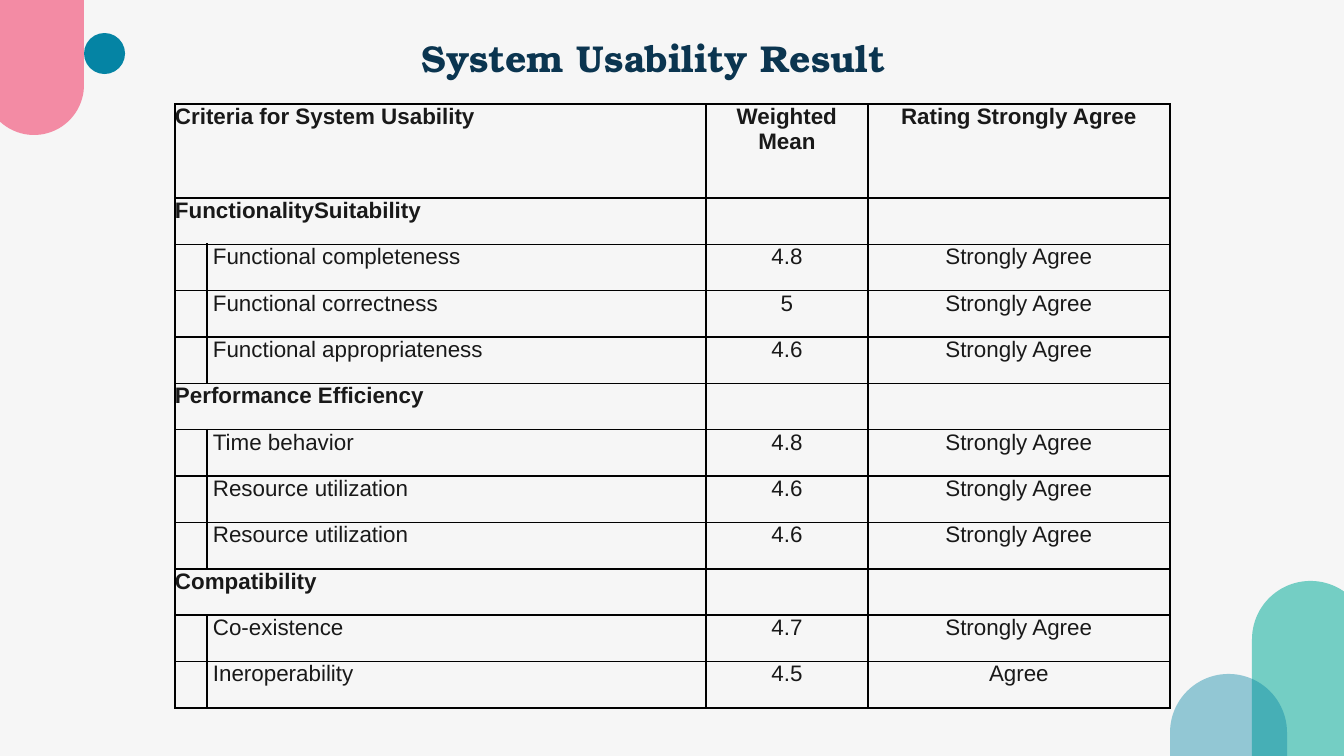
from lxml import etree
from pptx import Presentation
from pptx.dml.color import RGBColor
from pptx.enum.shapes import MSO_SHAPE
from pptx.enum.text import MSO_ANCHOR, PP_ALIGN
from pptx.oxml import parse_xml
from pptx.oxml.ns import nsdecls, qn
from pptx.util import Emu, Pt

PILL, CIRCLE = MSO_SHAPE.ROUNDED_RECTANGLE, MSO_SHAPE.OVAL
LEFT, CENTER = PP_ALIGN.LEFT, PP_ALIGN.CENTER
TOP = MSO_ANCHOR.TOP

PAPER = RGBColor(0xF6, 0xF6, 0xF6)
MINT = RGBColor(0x74, 0xCE, 0xC4)
TEAL = RGBColor(0x05, 0x84, 0xA4)
PINK = RGBColor(0xF2, 0x55, 0x7A)
NAVY = RGBColor(0x0B, 0x35, 0x50)
INK = RGBColor(0x19, 0x19, 0x19)
BLACK = RGBColor(0, 0, 0)

SLIDE_WIDTH, SLIDE_HEIGHT = 1344, 756
EMU_PER_PX = 9144000 / SLIDE_WIDTH

COLUMN_WIDTHS = (32, 499, 162, 302)
HEADER_HEIGHT = 94
ITEM_INDENT = 6
HEADINGS = ("Criteria for System Usability", "Weighted Mean", "Rating Strongly Agree")
CRITERIA = (
    ("FunctionalitySuitability", (
        ("Functional completeness", "4.8", "Strongly Agree"),
        ("Functional correctness", "5", "Strongly Agree"),
        ("Functional appropriateness", "4.6", "Strongly Agree"))),
    ("Performance Efficiency", (
        ("Time behavior", "4.8", "Strongly Agree"),
        ("Resource utilization", "4.6", "Strongly Agree"),
        ("Resource utilization", "4.6", "Strongly Agree"))),
    ("Compatibility", (
        ("Co-existence", "4.7", "Strongly Agree"),
        ("Ineroperability", "4.5", "Agree"))),
)


def px(length):
    """Turn px into EMU."""
    return Emu(round(length * EMU_PER_PX))


def add_text(paragraph, text, font_name, size, color, bold):
    """Add one styled run to a paragraph."""
    run = paragraph.add_run()
    run.text = text
    run.font.name = font_name
    run.font.size = Pt(size)
    run.font.bold = bold
    run.font.color.rgb = color


def add_blob(slide, kind, box, color, opacity=100):
    """Place one rounded decoration in its box."""
    blob = slide.shapes.add_shape(kind, *map(px, box))
    if kind == PILL:
        blob.adjustments[0] = 0.5
    blob.shadow.inherit = False
    blob.fill.solid()
    blob.fill.fore_color.rgb = color
    blob.line.fill.background()
    if opacity < 100:
        tint = blob.fill._xPr.find(f".//{qn('a:srgbClr')}")
        etree.SubElement(tint, qn("a:alpha"), val=str(opacity * 1000))


def add_top_corner(slide, left, top):
    """Draw the pink pill and teal dot, relative to the slide corner."""
    add_blob(slide, CIRCLE, (left + 84, top + 33, 41, 41), TEAL)
    add_blob(slide, PILL, (left - 16, top - 133, 100, 268), PINK, 66)


def add_bottom_corner(slide, right, bottom):
    """Draw the two overlapping pills, relative to the slide corner."""
    add_blob(slide, PILL, (right - 92, bottom - 175, 117, 607), MINT)
    add_blob(slide, PILL, (right - 174, bottom - 82, 117, 421), TEAL, 41)


def add_title(slide, left, top, width, height):
    """Write the slide title in its box."""
    title = slide.shapes.add_textbox(*map(px, (left, top, width, height)))
    frame = title.text_frame
    frame.word_wrap = True
    frame.vertical_anchor = TOP
    frame.margin_left = frame.margin_right = px(13)
    frame.margin_top = frame.margin_bottom = px(13)
    heading = frame.paragraphs[0]
    heading.alignment = CENTER
    add_text(heading, "System Usability Result", "TeX Gyre Bonum", 20, NAVY, True)


def style_cell(cell):
    """Give a cell black borders, no fill and no margins."""
    properties = cell._tc.get_or_add_tcPr()
    for side in ("lnL", "lnR", "lnT", "lnB"):
        properties.append(parse_xml(
            f'<a:{side} {nsdecls("a")} w="{Pt(1)}"><a:solidFill>'
            f'<a:srgbClr val="{BLACK}"/></a:solidFill></a:{side}>'))
    cell.fill.background()
    cell.margin_left = cell.margin_right = 0
    cell.margin_top = cell.margin_bottom = 0
    cell.vertical_anchor = TOP
    cell.text_frame.paragraphs[0].font.size = Pt(12)


def write_cell(cell, text, alignment, bold):
    """Write one table entry."""
    entry = cell.text_frame.paragraphs[0]
    entry.alignment = alignment
    add_text(entry, text, "Arial", 12, INK, bold)


def add_usability_table(slide, left, top, width, height):
    """Fill the box with criteria, weighted means and ratings."""
    rows = [(True, HEADINGS)]
    for group, items in CRITERIA:
        rows.append((True, (group,)))
        rows.extend((False, item) for item in items)

    table = slide.shapes.add_table(
        len(rows), len(COLUMN_WIDTHS), *map(px, (left, top, width, height))).table
    table.first_row = table.horz_banding = False
    for column, column_width in zip(table.columns, COLUMN_WIDTHS):
        column.width = px(column_width)
    item_height = (height - HEADER_HEIGHT) / (len(rows) - 1)
    for index, row in enumerate(table.rows):
        row.height = px(item_height if index else HEADER_HEIGHT)
    for cell in table.iter_cells():
        style_cell(cell)

    for index, (is_heading, entries) in enumerate(rows):
        criterion = table.cell(index, 0 if is_heading else 1)
        if is_heading:
            criterion.merge(table.cell(index, 1))
        else:
            criterion.margin_left = px(ITEM_INDENT)
        write_cell(criterion, entries[0], LEFT, is_heading)
        for column, entry in enumerate(entries[1:], start=2):
            write_cell(table.cell(index, column), entry, CENTER, is_heading)


def main():
    """Build and save the slide."""
    deck = Presentation()
    deck.slide_width, deck.slide_height = px(SLIDE_WIDTH), px(SLIDE_HEIGHT)
    slide = deck.slides.add_slide(deck.slide_layouts[6])
    slide.background.fill.solid()
    slide.background.fill.fore_color.rgb = PAPER
    add_bottom_corner(slide, SLIDE_WIDTH, SLIDE_HEIGHT)
    add_top_corner(slide, 0, 0)
    add_title(slide, 235, 22, 837, 70)
    add_usability_table(slide, 175, 104, sum(COLUMN_WIDTHS), 604)
    deck.save("out.pptx")


if __name__ == "__main__":
    main()
